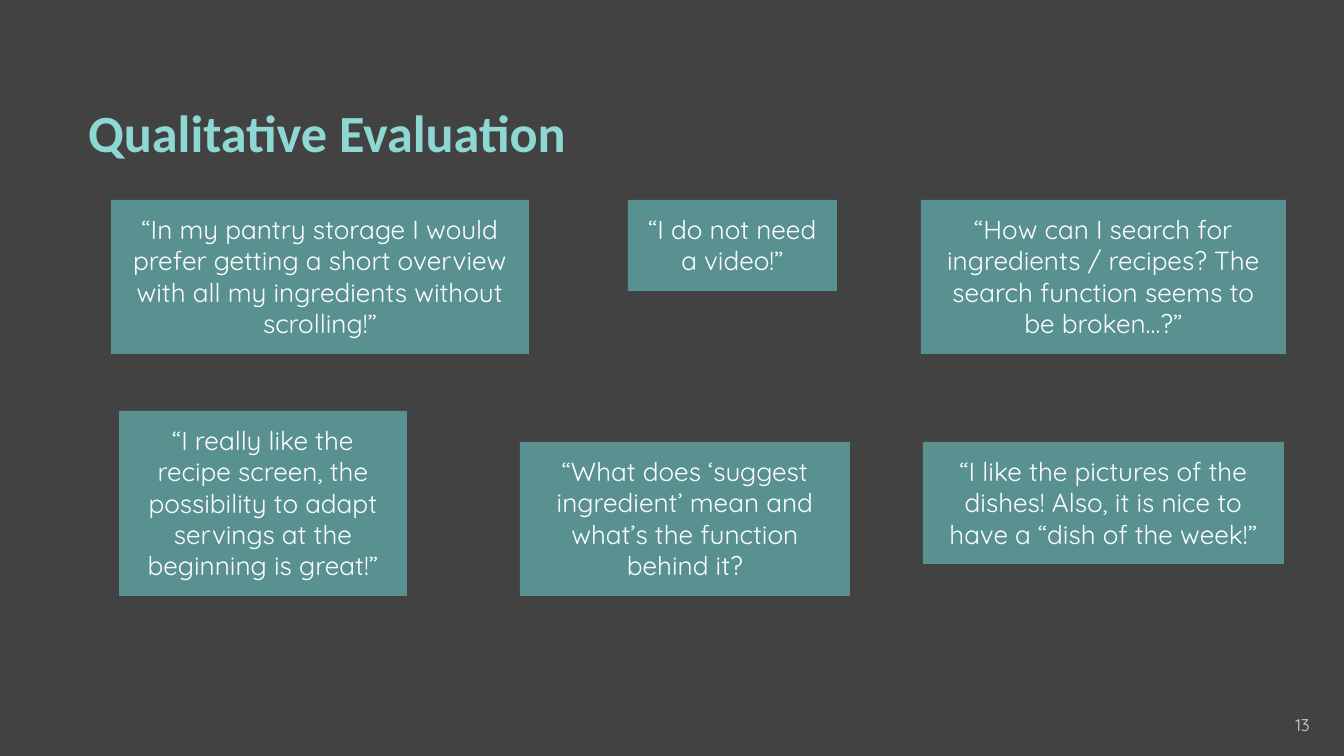
from dataclasses import dataclass

from pptx import Presentation
from pptx.dml.color import RGBColor as Rgb
from pptx.enum.shapes import MSO_SHAPE as Shape
from pptx.enum.text import MSO_ANCHOR as Anchor, MSO_AUTO_SIZE as AutoSize, PP_ALIGN as Align
from pptx.util import Emu, Inches, Pt

PX = 914400 / 134.4
PAGE_WIDTH, PAGE_HEIGHT = 1344, 756


@dataclass(frozen=True)
class Theme:
    background: str = "424242"
    card: str = "599191"
    title: str = "8DD8D3"
    quote: str = "FFFFFF"
    number: str = "D9D9D9"
    title_font: str = "Calibri"
    body_font: str = "Quicksand"
    title_size: int = 28
    quote_size: int = 14
    number_size: int = 9


THEME = Theme()

# Left, top, width and line count of each card, relative to the quote area
QUOTES = [
    (0, 0, 418, 4, "“In my pantry storage I would prefer getting a short overview "
                   "with all my ingredients without scrolling!”"),
    (517, 0, 209, 2, "“I do not need a video!”"),
    (810, 0, 365, 4, "“How can I search for ingredients / recipes? "
                     "The search function seems to be broken…?”"),
    (8, 211, 288, 5, "“I really like the recipe screen, the possibility to adapt "
                     "servings at the beginning is great!”"),
    (409, 242, 330, 4, "“What does ‘suggest ingredient’ mean and "
                       "what’s the function behind it?"),
    (812, 242, 361, 3, "“I like the pictures of the dishes! Also, it is nice to "
                       "have a “dish of the week!”"),
]


def emu(*lengths):
    return [Emu(round(length * PX)) for length in lengths]


def write(shape, text, font, size, color, align=Align.LEFT, anchor=Anchor.TOP, bold=False):
    frame = shape.text_frame
    frame.word_wrap = True
    frame.auto_size = AutoSize.NONE
    frame.vertical_anchor = anchor
    frame.margin_left = frame.margin_right = Inches(0.1)
    frame.margin_top = frame.margin_bottom = Inches(0.1)
    para = frame.paragraphs[0]
    para.text = text
    para.alignment = align
    para.font.name = font
    para.font.size = Pt(size)
    para.font.bold = bold
    para.font.color.rgb = Rgb.from_string(color)


def add_title(page, box, text):
    title = page.shapes.add_textbox(*emu(*box))
    write(title, text, THEME.title_font, THEME.title_size, THEME.title, bold=True)


def add_page_number(page, box, number):
    label = page.shapes.add_textbox(*emu(*box))
    write(label, str(number), THEME.body_font, THEME.number_size, THEME.number,
          Align.RIGHT, Anchor.MIDDLE)


def add_quotes(page, box, quotes):
    area_left, area_top = box[:2]
    for left, top, width, lines, text in quotes:
        # Margins plus one line height per line of text
        height = 28 + lines * 63 // 2
        card = page.shapes.add_shape(
            Shape.RECTANGLE, *emu(area_left + left, area_top + top, width, height))
        card.shadow.inherit = False
        card.fill.solid()
        card.fill.fore_color.rgb = Rgb.from_string(THEME.card)
        card.line.fill.background()
        write(card, text, THEME.body_font, THEME.quote_size, THEME.quote, Align.CENTER)


def main():
    deck = Presentation()
    deck.slide_width, deck.slide_height = emu(PAGE_WIDTH, PAGE_HEIGHT)
    page = deck.slides.add_slide(deck.slide_layouts[6])
    page.background.fill.solid()
    page.background.fill.fore_color.rgb = Rgb.from_string(THEME.background)

    add_title(page, (75, 87, 1211, 147), "Qualitative Evaluation")
    add_page_number(page, (1242, 696, 81, 58), 13)
    add_quotes(page, (111, 200, 1175, 396), QUOTES)

    deck.save("out.pptx")


if __name__ == "__main__":
    main()
